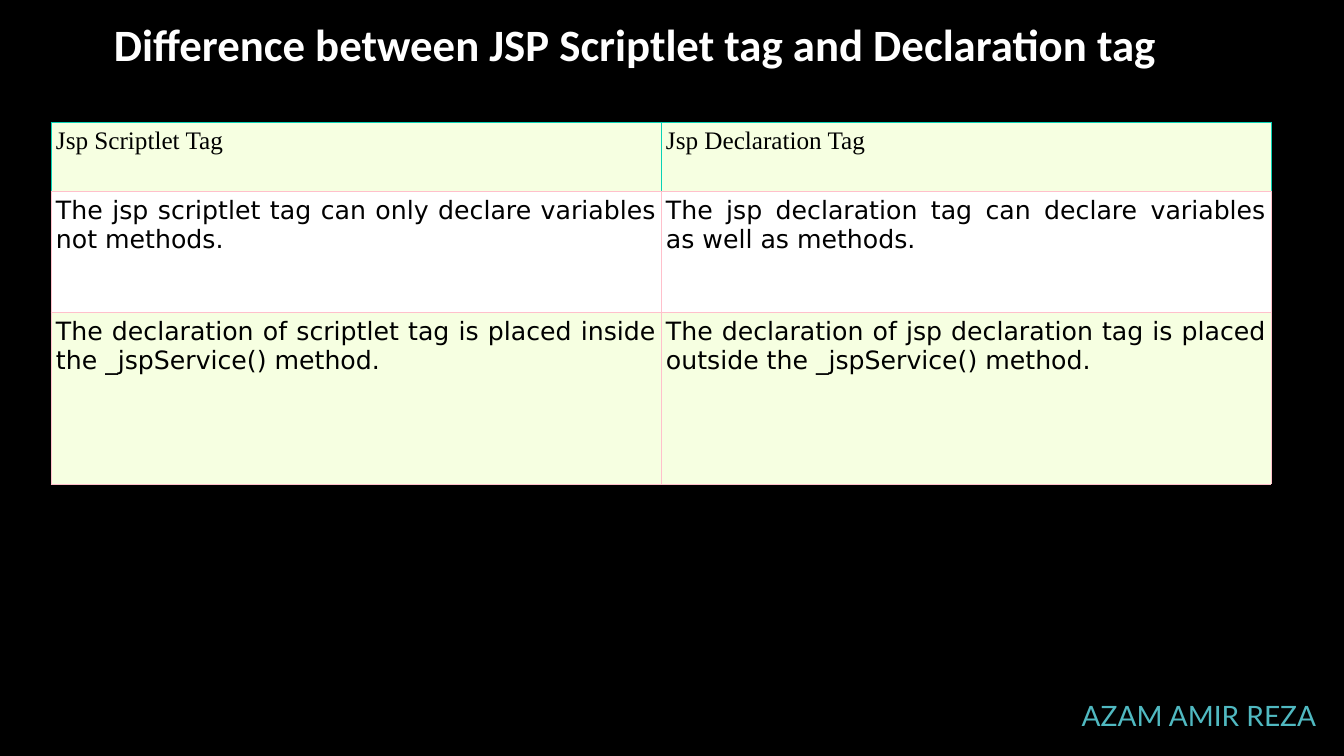
from lxml import etree
from pptx import Presentation, util as u
from pptx.dml.color import RGBColor
from pptx.enum import text
from pptx.oxml import ns

EMU_PER_PX = 914400 / 100.8

BLACK = RGBColor(0x00, 0x00, 0x00)
WHITE = RGBColor(0xFF, 0xFF, 0xFF)
CREAM = RGBColor(0xF6, 0xFF, 0xE1)
TEAL = RGBColor(0x50, 0xB9, 0xC1)
TURQUOISE = RGBColor(0x08, 0xD2, 0xB6)
PINK = RGBColor(0xFF, 0xC0, 0xCB)

COMPARISON = [
    ("Jsp Scriptlet Tag", "Jsp Declaration Tag"),
    ("The jsp scriptlet tag can only declare variables not methods.",
     "The jsp declaration tag can declare variables as well as methods."),
    ("The declaration of scriptlet tag is placed inside the _jspService() method.",
     "The declaration of jsp declaration tag is placed outside the _jspService() method."),
]
ROW_HEIGHTS = [69, 121, 172]
ROW_FILLS = [CREAM, WHITE, CREAM]
COLUMN_WIDTH = 610


def px(length):
    return u.Emu(round(length * EMU_PER_PX))


def style_paragraph(paragraph, font_name, size, color, align, bold=False):
    paragraph.alignment = align
    for run in paragraph.runs:
        run.font.name = font_name
        run.font.size = u.Pt(size)
        run.font.color.rgb = color
        run.font.bold = bold


def add_label(slide, box, wording, wrap, anchor, **style):
    frame = slide.shapes.add_textbox(*map(px, box)).text_frame
    frame.word_wrap = wrap
    frame.vertical_anchor = anchor
    frame.text = wording
    style_paragraph(frame.paragraphs[0], **style)


def set_borders(cell, colors):
    """Draw the left, right, top and bottom borders, in that order."""
    properties = cell._tc.get_or_add_tcPr()
    for position, (side, color) in enumerate(zip("LRTB", colors)):
        line = etree.Element(ns.qn(f"a:ln{side}"), w=str(u.Pt(0.75)))
        fill = etree.SubElement(line, ns.qn("a:solidFill"))
        etree.SubElement(fill, ns.qn("a:srgbClr"), val=str(color))
        properties.insert(position, line)


def fill_cell(cell, wording, background, is_header):
    cell.margin_left = cell.margin_right = px(5)
    cell.margin_top = cell.margin_bottom = px(5)
    cell.fill.solid()
    cell.fill.fore_color.rgb = background
    cell.text_frame.text = wording
    style_paragraph(
        cell.text_frame.paragraphs[0],
        font_name="Times New Roman" if is_header else "DejaVu Sans",
        size=18, color=BLACK,
        align=text.PP_ALIGN.LEFT if is_header else text.PP_ALIGN.JUSTIFY)
    set_borders(cell, [TURQUOISE] * 3 + [PINK] if is_header else [PINK] * 4)


def add_comparison(slide, left, top):
    columns = len(COMPARISON[0])
    table = slide.shapes.add_table(
        len(COMPARISON), columns, px(left), px(top),
        px(COLUMN_WIDTH * columns), px(sum(ROW_HEIGHTS))).table
    for column in table.columns:
        column.width = px(COLUMN_WIDTH)
    for r, wordings in enumerate(COMPARISON):
        table.rows[r].height = px(ROW_HEIGHTS[r])
        for c, wording in enumerate(wordings):
            fill_cell(table.cell(r, c), wording, ROW_FILLS[r], r == 0)


def main():
    deck = Presentation()
    deck.slide_width, deck.slide_height = px(1344), px(756)
    slide = deck.slides.add_slide(deck.slide_layouts[6])

    # Background
    slide.background.fill.solid()
    slide.background.fill.fore_color.rgb = BLACK

    # Author
    add_label(slide, (1068, 695, 262, 40), "AZAM AMIR REZA", True,
              text.MSO_ANCHOR.MIDDLE, font_name="Lato", size=20, color=TEAL,
              align=text.PP_ALIGN.CENTER)

    # Title
    add_label(slide, (104, 12, 1146, 65),
              "Difference between JSP Scriptlet tag and Declaration tag", False,
              text.MSO_ANCHOR.TOP, font_name="Calibri", size=32, color=WHITE,
              align=text.PP_ALIGN.LEFT, bold=True)

    # Comparison table
    add_comparison(slide, 51, 122)

    deck.save("out.pptx")


if __name__ == "__main__":
    main()
